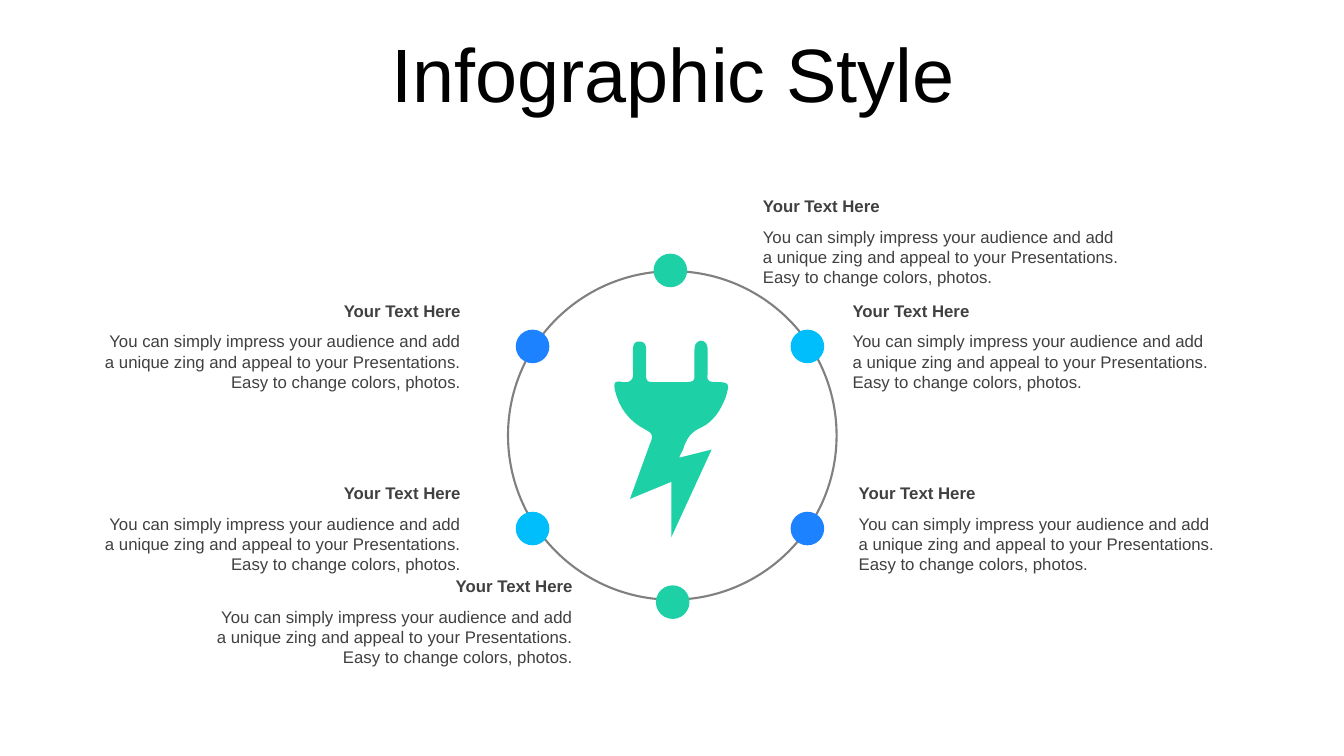
from typing import NamedTuple

from pptx import Presentation
from pptx.dml.color import RGBColor
from pptx.enum.shapes import MSO_SHAPE
from pptx.enum.text import MSO_ANCHOR, MSO_AUTO_SIZE, PP_ALIGN
from pptx.util import Emu, Inches, Pt

LEFT, CENTER, RIGHT = PP_ALIGN.LEFT, PP_ALIGN.CENTER, PP_ALIGN.RIGHT
TOP, MIDDLE = MSO_ANCHOR.TOP, MSO_ANCHOR.MIDDLE
OVAL = MSO_SHAPE.OVAL
NO_FIT = MSO_AUTO_SIZE.NONE

# Square grid: 40 columns by 22.5 rows
UNIT = Inches(40 / 3) / 40
COLS, ROWS = 40, 22.5

FONT = "Arial"
BLACK, DARK, GRAY = "000000", "404040", "808080"
GREEN, BLUE, CYAN = "1ED0A6", "1C82FF", "00BDFB"

HEADING = "Your Text Here"
BODY = ("You can simply impress your audience and add a unique zing and appeal "
        "to your Presentations. Easy to change colors, photos.")
NOTE_W, HEADING_H, BODY_H, BODY_DROP = 11.22, 0.9, 2.13, 0.92


class Note(NamedTuple):
    col: float
    row: float
    align: PP_ALIGN


class Dot(NamedTuple):
    col: float  # centre
    row: float
    color: str


NOTES = [
    Note(22.41, 5.67, LEFT), Note(25.08, 8.79, LEFT), Note(25.26, 14.22, LEFT),
    Note(2.79, 8.79, RIGHT), Note(2.79, 14.22, RIGHT), Note(6.12, 16.98, RIGHT),
]

RING_COL, RING_ROW, RING_D = 20.01, 12.96, 9.78
DOT_D = 1
DOTS = [
    Dot(19.95, 8.05, GREEN), Dot(20.02, 17.92, GREEN),
    Dot(24.03, 15.73, BLUE), Dot(24.03, 10.31, CYAN),
    Dot(15.85, 15.73, CYAN), Dot(15.85, 10.31, BLUE),
]

# Plug outline in hundredths of 3 grid units: 2 numbers are a line, 6 a curve
PLUG_COL, PLUG_ROW, PLUG_SCALE = 18.3, 10.14, 0.03
PLUG_START = (64, 116)
PLUG = [
    (96, 108), (56, 195), (56, 140), (15, 157), (35, 102),
    (38, 95, 38, 92, 30, 88), (14, 80, 4, 66, 0, 49),
    (-1, 43, -1, 39, 7, 41), (16, 42, 19, 39, 18, 29),
    (18, 8), (18, 4, 20, 0, 25, 1), (29, 1, 31, 4, 31, 8),
    (31, 35), (31, 40, 33, 41, 37, 41), (72, 41),
    (78, 41, 79, 39, 79, 34), (79, 9), (79, 4, 81, 1, 85, 0),
    (90, 0, 92, 4, 92, 9), (92, 33), (91, 39, 93, 41, 99, 41),
    (114, 41, 114, 42, 110, 56), (105, 69, 98, 80, 86, 86),
    (76, 90, 71, 97, 68, 107), (67, 110, 65, 112, 64, 116),
]
CURVE_STEPS = 8
FINE = 10  # local units per outline unit


def rgb(color: str) -> RGBColor:
    return RGBColor.from_string(color)


def grid(n: float) -> Emu:
    return Emu(round(n * UNIT))


def write(s, text: str, *, size: float, color: str = DARK, bold: bool = False,
          align: PP_ALIGN = LEFT, anchor: MSO_ANCHOR = TOP,
          spacing: float = 1.0) -> None:
    tf = s.text_frame
    tf.word_wrap, tf.auto_size, tf.vertical_anchor = True, NO_FIT, anchor
    p = tf.paragraphs[0]
    p.alignment, p.line_spacing = align, spacing
    r = p.add_run()
    r.text = text
    r.font.name, r.font.size, r.font.bold = FONT, Pt(size), bold
    r.font.color.rgb = rgb(color)


def draw_note(slide, note: Note) -> None:
    body = slide.shapes.add_textbox(grid(note.col), grid(note.row + BODY_DROP),
                                    grid(NOTE_W), grid(BODY_H))
    write(body, BODY, size=12, align=note.align)
    heading = slide.shapes.add_textbox(grid(note.col), grid(note.row),
                                       grid(NOTE_W), grid(HEADING_H))
    write(heading, HEADING, size=12, bold=True, align=note.align)


def draw_circle(slide, col: float, row: float, d: float, *,
                fill: str = "", line: str = "") -> None:
    s = slide.shapes.add_shape(OVAL, grid(col - d / 2), grid(row - d / 2),
                               grid(d), grid(d))
    s.shadow.inherit = False
    if fill:
        s.fill.solid()
        s.fill.fore_color.rgb = rgb(fill)
    else:
        s.fill.background()
    if line:
        s.line.color.rgb = rgb(line)
        s.line.width = Pt(1.5)
    else:
        s.line.fill.background()


def outline(start: tuple, segments: list) -> list[tuple]:
    points = [start]
    for seg in segments:
        if len(seg) == 2:
            points.append(seg)
            continue
        x0, y0 = points[-1]
        x1, y1, x2, y2, x3, y3 = seg
        for i in range(1, CURVE_STEPS + 1):
            t = i / CURVE_STEPS
            u = 1 - t
            a, b, c, d = u ** 3, 3 * u * u * t, 3 * u * t * t, t ** 3
            points.append((a * x0 + b * x1 + c * x2 + d * x3,
                           a * y0 + b * y1 + c * y2 + d * y3))
    return points


def draw_plug(slide) -> None:
    points = [(round(x * FINE), round(y * FINE))
              for x, y in outline(PLUG_START, PLUG)]
    builder = slide.shapes.build_freeform(*points[0],
                                          scale=UNIT * PLUG_SCALE / FINE)
    builder.add_line_segments(points[1:], close=True)
    s = builder.convert_to_shape(grid(PLUG_COL), grid(PLUG_ROW))
    s.shadow.inherit = False
    s.fill.solid()
    s.fill.fore_color.rgb = rgb(GREEN)
    s.line.fill.background()


def main() -> None:
    prs = Presentation()
    prs.slide_width, prs.slide_height = grid(COLS), grid(ROWS)
    slide = prs.slides.add_slide(prs.slide_layouts[5])

    # Title
    title = slide.shapes.title
    title.left, title.top = grid(1.05), grid(0.93)
    title.width, title.height = grid(37.98), grid(2.76)
    write(title, "Infographic Style", size=54, color=BLACK, align=CENTER,
          anchor=MIDDLE, spacing=0.9)

    # Notes around the ring
    for note in NOTES:
        draw_note(slide, note)

    # Ring with its dots
    draw_circle(slide, RING_COL, RING_ROW, RING_D, line=GRAY)
    for dot in DOTS:
        draw_circle(slide, dot.col, dot.row, DOT_D, fill=dot.color)

    # Plug in the middle
    draw_plug(slide)

    prs.save("out.pptx")


if __name__ == "__main__":
    main()
